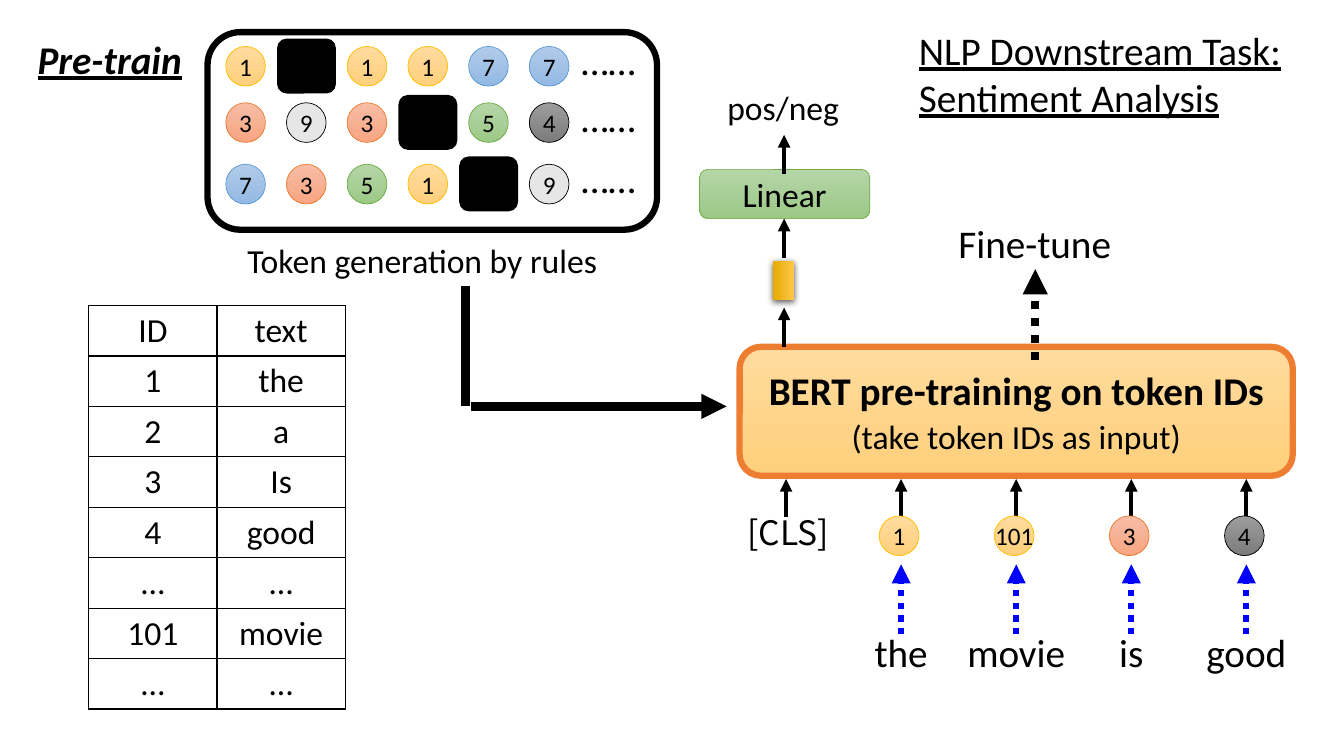
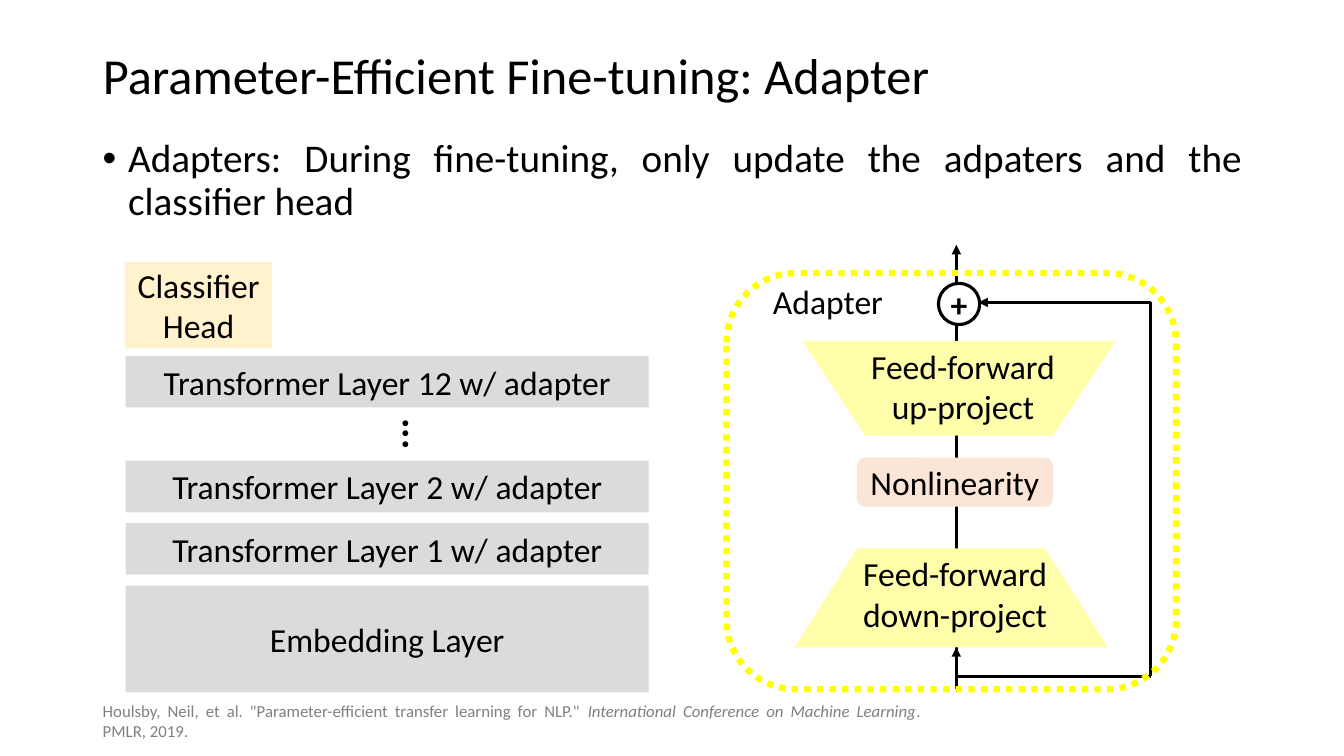
"""Build two slides on token-ID pre-training and adapter fine-tuning."""
from dataclasses import dataclass

from lxml.etree import SubElement
from pptx import Presentation
from pptx.dml.color import RGBColor
from pptx.enum.dml import MSO_LINE
from pptx.enum.shapes import MSO_CONNECTOR, MSO_SHAPE
from pptx.enum.text import MSO_ANCHOR, PP_ALIGN
from pptx.oxml.ns import qn
from pptx.util import Cm, Pt


@dataclass(frozen=True)
class Theme:
    font: str = "Calibri"
    token_font: str = "Noto Sans CJK SC"
    title_size: float = 36
    large: float = 28
    normal: float = 24
    small: float = 18
    citation_size: float = 12
    black: str = "000000"
    white: str = "FFFFFF"
    grey_text: str = "808080"
    blue: str = "0000FF"
    yellow: str = "FFFF00"
    orange_line: str = "ED7D31"
    layer: str = "DBDBDB"
    classifier: str = "FFF2CC"
    projection: str = "FFFEAB"
    nonlinearity: str = "FBE5D6"
    vector: tuple = ("FFC64B", "E3AB00")
    amber: tuple = ("FFDB9E", "FFD07C")
    coral: tuple = ("F7BDA5", "F8A582")
    sky: tuple = ("B1CBE9", "93B9E4")
    green: tuple = ("B5D5A7", "9CC987")
    dark: tuple = ("9D9D9D", "7C7C7C")
    pale: str = "E7E6E6"
    green_line: str = "70AD47"


theme = Theme()
token_styles = {
    "1": (theme.amber, "FFC000"),
    "101": (theme.amber, "FFC000"),
    "3": (theme.coral, theme.orange_line),
    "4": (theme.dark, theme.black),
    "5": (theme.green, theme.green_line),
    "7": (theme.sky, "5B9BD5"),
    "9": (theme.pale, theme.black),
}


def add_box(slide, kind, left, top, width, height, text="", size=theme.normal, fill=None,
            line=None, weight=0.5, align=PP_ALIGN.CENTER, wrap=True, bold=False,
            italic=False, underline=False, font=theme.font):
    frame = [Cm(length) for length in (left, top, width, height)]
    if kind is None:
        shape = slide.shapes.add_textbox(*frame)
    else:
        shape = slide.shapes.add_shape(kind, *frame)
        shape.shadow.inherit = False
        if fill is None:
            shape.fill.background()
        elif isinstance(fill, tuple):
            shape.fill.gradient()
            shape.fill.gradient_angle = 270
            for stop, color in zip(shape.fill.gradient_stops, fill):
                stop.color.rgb = RGBColor.from_string(color)
        else:
            shape.fill.solid()
            shape.fill.fore_color.rgb = RGBColor.from_string(fill)
        if line is None:
            shape.line.fill.background()
        else:
            shape.line.color.rgb = RGBColor.from_string(line)
            shape.line.width = Pt(weight)
    if not text:
        return shape
    text_frame = shape.text_frame
    text_frame.text = text
    text_frame.word_wrap = wrap
    if kind is not None:
        text_frame.vertical_anchor = MSO_ANCHOR.MIDDLE
        text_frame.margin_left = text_frame.margin_right = 0
        text_frame.margin_top = text_frame.margin_bottom = 0
    for paragraph in text_frame.paragraphs:
        paragraph.alignment = align
        for run in paragraph.runs:
            run.font.name = font
            run.font.size = Pt(size)
            run.font.bold = bold
            run.font.italic = italic
            run.font.underline = underline
            run.font.color.rgb = RGBColor.from_string(theme.black)
    return shape


def add_line(slide, start, end, weight, color=theme.black, arrow=True, dotted=False):
    connector = slide.shapes.add_connector(
        MSO_CONNECTOR.STRAIGHT, *[Cm(length) for length in (*start, *end)])
    connector.line.color.rgb = RGBColor.from_string(color)
    connector.line.width = Pt(weight)
    if dotted:
        connector.line.dash_style = MSO_LINE.ROUND_DOT
    properties = connector.element.spPr
    if arrow:
        SubElement(properties.find(qn("a:ln")), qn("a:tailEnd"), type="triangle")
    SubElement(properties, qn("a:effectLst"))


presentation = Presentation()
presentation.slide_width = Cm(33.87)
presentation.slide_height = Cm(19.05)

slide = presentation.slides.add_slide(presentation.slide_layouts[6])
add_box(slide, None, 0.25, 0.76, 5.03, 1.45, "Pre-train", theme.large,
        bold=True, italic=True, underline=True)
add_box(slide, None, 22.91, 0.53, 10.54, 2.64, "NLP Downstream Task:\nSentiment Analysis",
        theme.large, align=PP_ALIGN.LEFT, underline=True)

add_box(slide, MSO_SHAPE.ROUNDED_RECTANGLE, 5.23, 0.81, 11.33, 4.98,
        line=theme.black, weight=4.5)
token_rows = [
    (1.17, ["1", None, "1", "1", "7", "7"]),
    (2.59, ["3", "9", "3", None, "5", "4"]),
    (4.14, ["7", "3", "5", "1", None, "9"]),
]
for top, tokens in token_rows:
    for column, token in enumerate(tokens):
        left = 5.69 + 1.53 * column
        if token is None:
            add_box(slide, MSO_SHAPE.ROUNDED_RECTANGLE, left - 0.22, top - 0.18, 1.45, 1.35,
                    fill=theme.black, line=theme.black, weight=1)
        else:
            fill, line = token_styles[token]
            add_box(slide, MSO_SHAPE.OVAL, left, top, 1, 1, token, theme.small,
                    fill, line, wrap=False)
    add_box(slide, None, 14.4, top - 0.37, 2.18, 1.45, "……", theme.large, align=PP_ALIGN.LEFT)
add_box(slide, None, 4.95, 5.92, 11.38, 1.27, "Token generation by rules")
add_line(slide, (11.73, 7.21), (11.73, 10.24), 6, arrow=False)
add_line(slide, (11.86, 10.24), (18.31, 10.24), 6)

vocabulary = [("ID", "text"), ("1", "the"), ("2", "a"), ("3", "Is"), ("4", "good"),
              ("…", "…"), ("101", "movie"), ("…", "…")]
table = slide.shapes.add_table(len(vocabulary), 2, Cm(2.24), Cm(7.7), Cm(6.46),
                               Cm(1.27 * len(vocabulary))).table
table.first_row = False
table.horz_banding = False
for row, entries in enumerate(vocabulary):
    for column, entry in enumerate(entries):
        cell = table.cell(row, column)
        cell.text = entry
        paragraph = cell.text_frame.paragraphs[0]
        paragraph.alignment = PP_ALIGN.CENTER
        font = paragraph.runs[0].font
        font.name = theme.font
        font.size = Pt(theme.normal)
        font.color.rgb = RGBColor.from_string(theme.black)
        properties = cell._tc.get_or_add_tcPr()
        for side in ("a:lnL", "a:lnR", "a:lnT", "a:lnB"):
            border = SubElement(properties, qn(side), w=str(Pt(1)))
            SubElement(SubElement(border, qn("a:solidFill")), qn("a:srgbClr"), val=theme.black)
        cell.fill.background()

model = add_box(slide, MSO_SHAPE.ROUNDED_RECTANGLE, 18.64, 8.74, 13.94, 3.25,
                "BERT pre-training on token IDs\n(take token IDs as input)", theme.large,
                theme.amber, theme.orange_line, 4.5)
heading, note = model.text_frame.paragraphs
heading.runs[0].font.bold = True
note.runs[0].font.size = Pt(theme.normal)
note.space_before = Pt(2)

input_left, input_pitch = 19.81, 2.9
add_box(slide, None, 18.31, 12.78, 3.1, 1.27, "[CLS]", font=theme.token_font)
add_line(slide, (input_left, 13.03), (input_left, 12.07), 3)
inputs = [("1", "the"), ("101", "movie"), ("3", "is"), ("4", "good")]
for position, (token, word) in enumerate(inputs, start=1):
    center = input_left + input_pitch * position
    fill, line = token_styles[token]
    add_line(slide, (center, 13.03), (center, 12.07), 3)
    add_box(slide, MSO_SHAPE.OVAL, center - 0.55, 13, 1, 1, token, theme.small,
            fill, line, wrap=False)
    add_line(slide, (center, 15.98), (center, 14.22), 4.5, theme.blue, dotted=True)
    add_box(slide, None, center - 1.6, 15.72, 3.2, 1.45, word, theme.large)

vector = add_box(slide, MSO_SHAPE.RECTANGLE, 19.48, 6.58, 0.53, 0.99, fill=theme.vector)
vector.fill.gradient_angle = 180
shadow = SubElement(vector.element.spPr.find(qn("a:effectLst")), qn("a:outerShdw"),
                    blurRad=str(Pt(4.5)), dist=str(Pt(1.5)), dir="5400000", rotWithShape="0")
shadow_color = SubElement(shadow, qn("a:srgbClr"), val=theme.black)
SubElement(shadow_color, qn("a:alpha"), val="63000")
add_box(slide, MSO_SHAPE.ROUNDED_RECTANGLE, 17.63, 4.27, 4.29, 1.24, "Linear",
        fill=theme.green, line=theme.green_line)
for bottom in (8.74, 6.5, 4.39):
    add_line(slide, (19.76, bottom), (19.76, bottom - 0.99), 3)
add_box(slide, None, 18.08, 2.06, 3.33, 1.27, "pos/neg", align=PP_ALIGN.LEFT, wrap=False)
add_line(slide, (26.09, 9.07), (26.09, 6.78), 6, dotted=True)
add_box(slide, None, 23.85, 5.41, 4.45, 1.45, "Fine-tune", theme.large)

slide = presentation.slides.add_slide(presentation.slide_layouts[5])
title = slide.shapes.title
title.left, title.top, title.width, title.height = Cm(2.34), Cm(1.02), Cm(29.21), Cm(1.91)
title.text_frame.text = "Parameter-Efficient Fine-tuning: Adapter"
title.text_frame.vertical_anchor = MSO_ANCHOR.MIDDLE
paragraph = title.text_frame.paragraphs[0]
paragraph.alignment = PP_ALIGN.LEFT
paragraph.line_spacing = 0.9
font = paragraph.runs[0].font
font.name = theme.font
font.size = Pt(theme.title_size)
font.color.rgb = RGBColor.from_string(theme.black)

body = add_box(
    slide, None, 2.34, 3.38, 29.21, 2.3,
    "Adapters: During fine-tuning, only update the adpaters and the classifier head",
    theme.large, align=PP_ALIGN.JUSTIFY)
paragraph = body.text_frame.paragraphs[0]
paragraph.line_spacing = 0.9
properties = paragraph._p.get_or_add_pPr()
properties.set("marL", str(Cm(0.64)))
properties.set("indent", str(-Cm(0.64)))
SubElement(properties, qn("a:buFont"), typeface="Arial")
SubElement(properties, qn("a:buChar"), char="•")

add_box(slide, MSO_SHAPE.RECTANGLE, 3.15, 6.6, 3.71, 2.18, "Classifier Head",
        fill=theme.classifier)
layers = [
    ("Transformer Layer 12 w/ adapter", 8.97, 1.3),
    ("Transformer Layer 2 w/ adapter", 11.61, 1.3),
    ("Transformer Layer 1 w/ adapter", 13.18, 1.3),
    ("Embedding Layer", 14.76, 2.69),
]
for name, top, height in layers:
    add_box(slide, MSO_SHAPE.RECTANGLE, 3.17, top, 13.18, height, name, fill=theme.layer)
dots = add_box(slide, None, 9.42, 9.75, 1.3, 2.39, "...", theme.large,
               align=PP_ALIGN.LEFT, bold=True)
dots.rotation = 90

axis, bypass, split, merge = 24.1, 29, 17.04, 7.62
add_line(slide, (axis, 17.37), (axis, 6.17), 2.25)
projections = [
    ("Feed-forward\ndown-project", 20.02, 13.82, 2.49, 180),
    ("Feed-forward\nup-project", 20.22, 8.59, 2.39, 0),
]
for name, left, top, height, rotation in projections:
    projection = add_box(slide, MSO_SHAPE.FLOWCHART_MANUAL_OPERATION, left, top, 7.9, height,
                         fill=theme.projection)
    projection.rotation = rotation
    add_box(slide, None, left + 0.1, top, 7.9, height, name)
add_box(slide, MSO_SHAPE.ROUNDED_RECTANGLE, 21.59, 11.53, 4.95, 1.24, "Nonlinearity",
        fill=theme.nonlinearity)
add_box(slide, MSO_SHAPE.OVAL, axis - 0.45, 7.14, 1.04, 1.04, "+", fill=theme.white,
        line=theme.black, weight=2.25, wrap=False, bold=True)
add_line(slide, (axis, 16.89), (axis, 16.31), 2.25)
add_line(slide, (axis, split), (bypass, split), 2.25, arrow=False)
add_line(slide, (bypass, split), (bypass, merge), 2.25, arrow=False)
add_line(slide, (bypass, merge), (24.66, merge), 2.25)
outline = add_box(slide, MSO_SHAPE.ROUNDED_RECTANGLE, 18.31, 6.88, 11.33, 10.49,
                  line=theme.yellow, weight=4.5)
outline.line.dash_style = MSO_LINE.ROUND_DOT
add_box(slide, None, 19.23, 6.96, 3.63, 1.27, "Adapter", align=PP_ALIGN.LEFT)

citation = add_box(
    slide, None, 2.34, 17.65, 21.11, 1.02,
    'Houlsby, Neil, et al. "Parameter-efficient transfer learning for NLP." ',
    align=PP_ALIGN.JUSTIFY)
citation.text_frame.vertical_anchor = MSO_ANCHOR.MIDDLE
paragraph = citation.text_frame.paragraphs[0]
for text in ("International Conference on Machine Learning", ". PMLR, 2019."):
    paragraph.add_run().text = text
for run, italic in zip(paragraph.runs, (False, True, False)):
    run.font.name = theme.font
    run.font.size = Pt(theme.citation_size)
    run.font.italic = italic
    run.font.color.rgb = RGBColor.from_string(theme.grey_text)

presentation.save("out.pptx")
